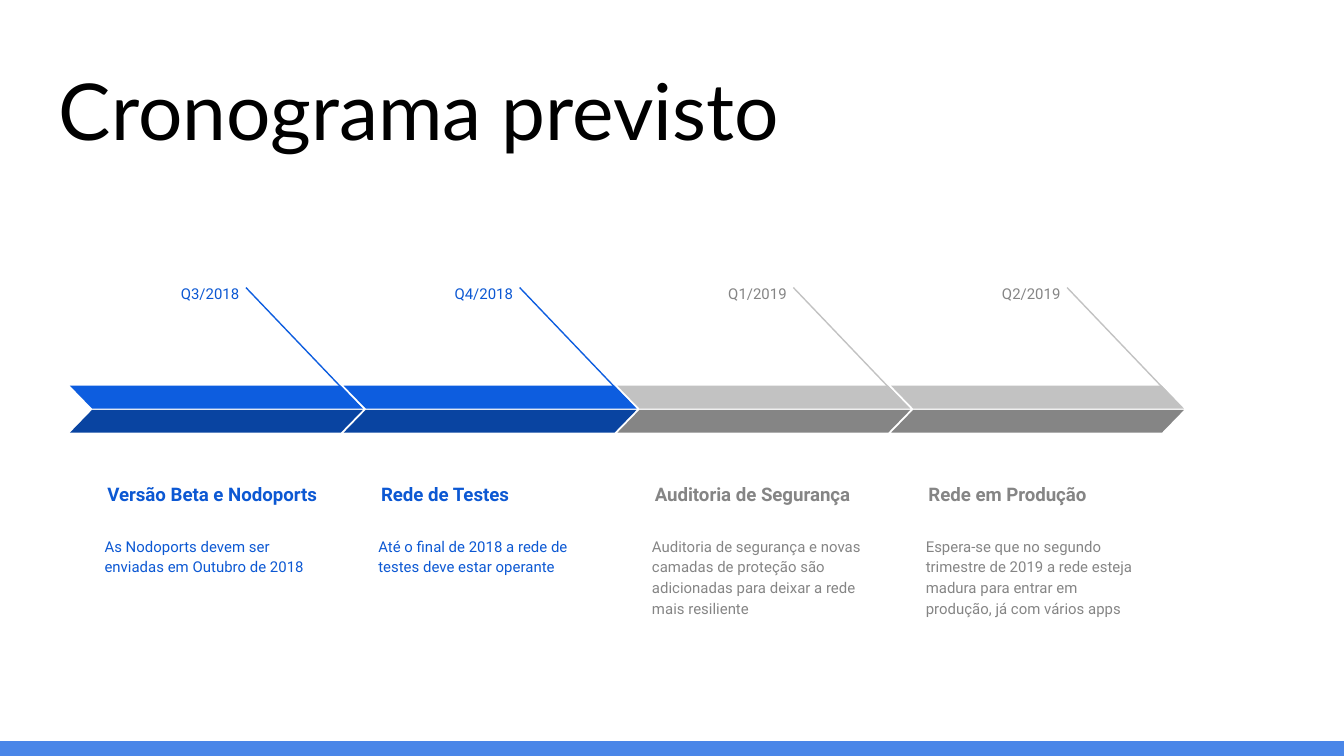
from dataclasses import dataclass
from typing import NamedTuple

from lxml.etree import SubElement
from pptx import Presentation
from pptx.dml.color import RGBColor as Rgb
from pptx.enum.shapes import MSO_CONNECTOR as Connector, MSO_SHAPE as Preset
from pptx.enum.text import MSO_ANCHOR as Anchor, PP_ALIGN as Align
from pptx.oxml.ns import qn
from pptx.util import Inches, Pt


@dataclass(frozen=True)
class Theme:
    title_font: str = "Lato"
    body_font: str = "Roboto"
    title_size: float = 42
    heading_size: float = 10
    body_size: float = 8
    rule_width: float = 0.75
    title_color: str = "000000"
    footer_color: str = "4A86E8"


class Palette(NamedTuple):
    text: str
    light: str
    dark: str


class Phase(NamedTuple):
    quarter: str
    heading: str
    details: str
    palette: Palette


THEME = Theme()
CURRENT = Palette("0C58D3", "0D5DDF", "0944A1")
UPCOMING = Palette("858585", "C2C2C2", "858585")

PHASES = [
    Phase("Q3/2018", "Versão Beta e Nodoports",
          "As Nodoports devem ser enviadas em Outubro de 2018", CURRENT),
    Phase("Q4/2018", "Rede de Testes",
          "Até o final de 2018 a rede de testes deve estar operante", CURRENT),
    Phase("Q1/2019", "Auditoria de Segurança",
          "Auditoria de segurança e novas camadas de proteção são "
          "adicionadas para deixar a rede mais resiliente", UPCOMING),
    Phase("Q2/2019", "Rede em Produção",
          "Espera-se que no segundo trimestre de 2019 a rede esteja madura "
          "para entrar em produção, já com vários apps", UPCOMING),
]

SLIDE_W = 10
SLIDE_H = SLIDE_W * 9 / 16
FOOTER_H = 0.11
FIRST_COLUMN, LAST_COLUMN = 0.52, 6.63
COLUMN = (LAST_COLUMN - FIRST_COLUMN) / (len(PHASES) - 1)
QUARTER_ROW, RULE_ROW, BAND_ROW, HEADING_ROW, DETAILS_ROW = 2.02, 2.14, 2.87, 3.33, 3.88
BAND_W, BAND_H, BAND_STEP = 2.18, 0.17, 0.18
BAND_SLANT = 0.97


def add_text(shapes, text, box, *, color, size=THEME.body_size, font=THEME.body_font,
             bold=False, align=Align.LEFT, anchor=Anchor.TOP, spacing=1.15):
    label = shapes.add_textbox(*map(Inches, box))
    frame = label.text_frame
    frame.word_wrap = True
    frame.vertical_anchor = anchor
    frame.margin_left = frame.margin_right = Inches(0.1)
    frame.margin_top = frame.margin_bottom = Inches(0.1)
    paragraph = frame.paragraphs[0]
    paragraph.alignment = align
    paragraph.line_spacing = spacing
    run = paragraph.add_run()
    run.text = text
    run.font.name = font
    run.font.size = Pt(size)
    run.font.bold = bold
    run.font.color.rgb = Rgb.from_string(color)


def add_block(shapes, preset, box, color):
    block = shapes.add_shape(preset, *map(Inches, box))
    block.shadow.inherit = False
    block.fill.solid()
    block.fill.fore_color.rgb = Rgb.from_string(color)
    block.line.fill.background()
    return block


def add_band(shapes, left, top, color, flipped=False):
    band = add_block(shapes, Preset.PARALLELOGRAM, (left, top, BAND_W, BAND_H), color)
    band.adjustments[0] = BAND_SLANT
    if flipped:
        band._element.spPr.find(qn("a:xfrm")).set("flipH", "1")


def add_rule(shapes, start, end, color):
    rule = shapes.add_connector(Connector.STRAIGHT, *map(Inches, (*start, *end)))
    rule.line.width = Pt(THEME.rule_width)
    rule.line.color.rgb = Rgb.from_string(color)
    SubElement(rule._element.spPr, qn("a:effectLst"))


def add_phase(slide, column, phase):
    left = FIRST_COLUMN + column * COLUMN
    shapes = slide.shapes.add_group_shape().shapes
    text, light, dark = phase.palette
    add_text(shapes, phase.quarter, (left + 0.62, QUARTER_ROW, 0.74, 0.29),
             color=text, align=Align.RIGHT)
    add_text(shapes, phase.heading, (left + 0.18, HEADING_ROW, 1.79, 0.53),
             color=text, size=THEME.heading_size, bold=True, anchor=Anchor.BOTTOM)
    add_text(shapes, phase.details, (left + 0.16, DETAILS_ROW, 1.84, 0.88), color=text)
    add_rule(shapes, (left + 1.31, RULE_ROW), (left + 2.16, BAND_ROW + BAND_H - 0.01), light)
    add_band(shapes, left, BAND_ROW, light, flipped=True)
    add_band(shapes, left, BAND_ROW + BAND_STEP, dark)


def main():
    deck = Presentation()
    deck.slide_width, deck.slide_height = Inches(SLIDE_W), Inches(SLIDE_H)
    slide = deck.slides.add_slide(deck.slide_layouts[6])
    add_block(slide.shapes, Preset.RECTANGLE,
              (0, SLIDE_H - FOOTER_H, SLIDE_W, FOOTER_H), THEME.footer_color)
    add_text(slide.shapes, "Cronograma previsto", (0.34, 0.35, 9.32, 0.91),
             color=THEME.title_color, size=THEME.title_size, font=THEME.title_font,
             anchor=Anchor.BOTTOM, spacing=1.0)
    for column, phase in enumerate(PHASES):
        add_phase(slide, column, phase)
    deck.save("out.pptx")


if __name__ == "__main__":
    main()
